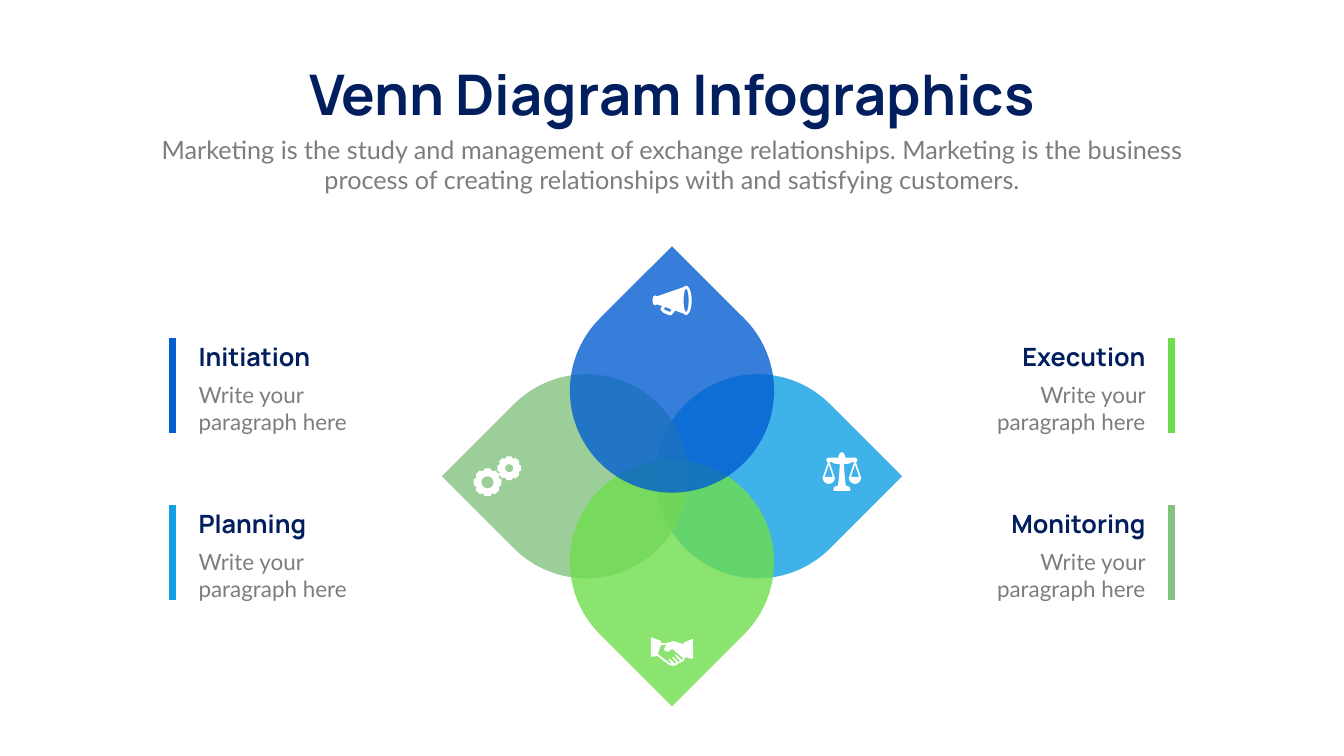
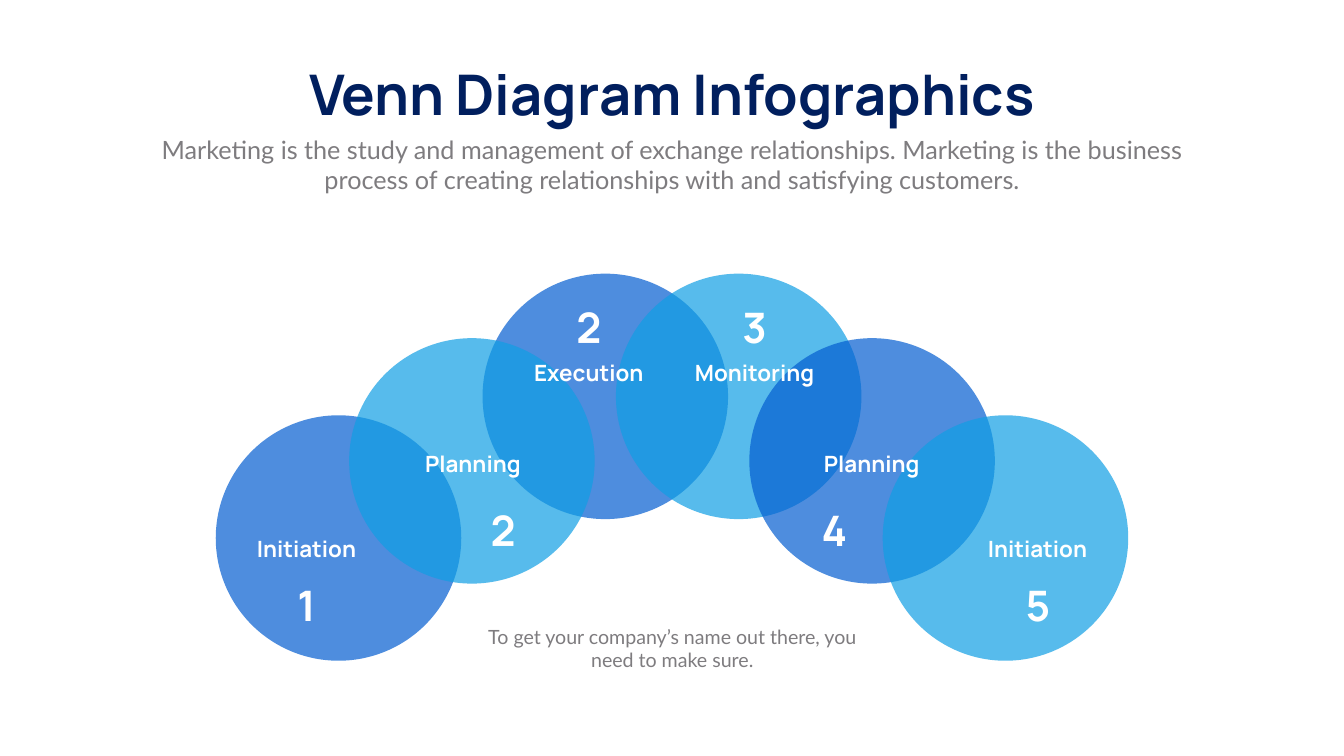
from dataclasses import dataclass
from math import cos, radians, sin

from lxml import etree
from pptx import Presentation
from pptx.dml.color import RGBColor
from pptx.enum.shapes import MSO_CONNECTOR, MSO_SHAPE as SHAPE
from pptx.enum.text import MSO_AUTO_SIZE, PP_ALIGN as ALIGN
from pptx.oxml.ns import qn
from pptx.util import Inches, Pt

# Shared style
BLUE, SKY, GREEN, SAGE = "045ED0", "109FE4", "6EDD4D", "84C280"
NAVY, GRAY, WHITE = "011F5E", "7E7C7F", "FFFFFF"
HEAD, BODY = "Manrope", "Lato"
WIDTH, HEIGHT = 26.66, 15
MID_X = WIDTH / 2

Point = tuple[float, float]
Outline = list[Point]


@dataclass
class Petal:
    dx: int
    dy: int
    rotation: int
    color: str


@dataclass
class Callout:
    title: str
    top: float
    color: str
    on_right: bool = False


@dataclass
class Stage:
    number: str
    label: str
    label_x: float
    number_x: float


@dataclass
class Level:
    circle_top: float
    label_top: float
    number_top: float


def rgb(color: str) -> RGBColor:
    return RGBColor.from_string(color)


def add_text(slide, text: str, left: float, top: float, width: float, height: float, *,
             size: int, font: str = BODY, color: str = GRAY, bold: bool = False,
             align: ALIGN = ALIGN.CENTER) -> None:
    box = slide.shapes.add_textbox(Inches(left), Inches(top), Inches(width), Inches(height))
    tf = box.text_frame
    tf.word_wrap = True
    tf.auto_size = MSO_AUTO_SIZE.SHAPE_TO_FIT_TEXT
    p = tf.paragraphs[0]
    p.alignment = align
    r = p.add_run()
    r.text = text
    r.font.name, r.font.size, r.font.bold = font, Pt(size), bold
    r.font.color.rgb = rgb(color)


def paint(sp, color: str, alpha: int = 100) -> None:
    """Fill a shape, without line or shadow; alpha is a percentage."""
    sp.shadow.inherit = False
    sp.line.fill.background()
    sp.fill.solid()
    sp.fill.fore_color.rgb = rgb(color)
    if alpha < 100:
        clr = sp._element.spPr.find(qn("a:solidFill"))[0]
        etree.SubElement(clr, qn("a:alpha")).set("val", str(alpha * 1000))


def add_round(slide, kind: SHAPE, left: float, top: float, size: float,
              color: str, alpha: int, rotation: int = 0) -> None:
    sp = slide.shapes.add_shape(kind, Inches(left), Inches(top), Inches(size), Inches(size))
    sp.rotation = rotation
    paint(sp, color, alpha)


def add_bar(slide, x: float, top: float, length: float, color: str) -> None:
    line = slide.shapes.add_connector(MSO_CONNECTOR.STRAIGHT, Inches(x), Inches(top),
                                      Inches(x), Inches(top + length))
    line.line.color.rgb = rgb(color)
    line.line.width = Pt(10)
    etree.SubElement(line._element.spPr, qn("a:effectLst"))


def add_icon(slide, outlines: list[Outline]) -> None:
    """Draw closed outlines as one white shape; inner outlines are holes."""
    paths = [[(Inches(x), Inches(y)) for x, y in outline] for outline in outlines]
    builder = slide.shapes.build_freeform(*paths[0][0])
    for i, path in enumerate(paths):
        if i:
            builder.move_to(*path[0])
        builder.add_line_segments(path[1:], close=True)
    paint(builder.convert_to_shape(), WHITE)


def arc(cx: float, cy: float, rx: float, ry: float, start: int = 0, end: int = 360) -> Outline:
    return [(cx + rx * cos(radians(a)), cy + ry * sin(radians(a)))
            for a in range(start, end + 1, 15)] if end > start else \
        arc(cx, cy, rx, ry, end, start)[::-1]


def gear(cx: float, cy: float, radius: float, hole: float) -> list[Outline]:
    tooth = ((-20, 0.87), (-11, 1), (11, 1), (20, 0.87))
    rim = [(cx + radius * k * cos(radians(base + a)), cy + radius * k * sin(radians(base + a)))
           for base in range(0, 360, 45) for a, k in tooth]
    return [rim, arc(cx, cy, hole, hole)]


def mirror(outline: Outline, axis: float) -> Outline:
    return [(2 * axis - x, y) for x, y in reversed(outline)]


# Icons
def megaphone() -> list[Outline]:
    body = [(13.55, 5.7), (13.03, 5.88), (13, 5.86), (12.96, 5.88), (12.94, 5.96),
            (12.96, 6.04), (13, 6.06), (13.03, 6.04), (13.13, 6.07), (13.1, 6.14),
            (13.15, 6.2), (13.26, 6.25), (13.32, 6.25), (13.36, 6.21), (13.39, 6.16),
            (13.55, 6.22)]
    horn = arc(13.61, 5.96, 0.11, 0.29, 105, -105)
    handle = [(13.3, 6.18), (13.29, 6.19), (13.17, 6.14), (13.19, 6.09), (13.32, 6.14)]
    return [body + horn, handle, arc(13.61, 5.96, 0.05, 0.23)]


def scales() -> list[Outline]:
    axis = 16.7
    half = [(16.7, 8.97), (16.66, 8.99), (16.63, 9.06), (16.64, 9.08), (16.44, 9.08),
            (16.4, 9.1), (16.39, 9.13), (16.42, 9.18), (16.32, 9.47),
            *arc(16.44, 9.48, 0.12, 0.12, 180, 0),
            (16.46, 9.18), (16.48, 9.16), (16.56, 9.2), (16.66, 9.21), (16.64, 9.5),
            (16.62, 9.64), (16.6, 9.64), (16.55, 9.66), (16.53, 9.71), (16.54, 9.74)]
    pan = [(16.36, 9.46), (16.44, 9.22), (16.52, 9.46)]
    return [half + mirror(half, axis), pan, mirror(pan, axis)]


def handshake() -> list[Outline]:
    hands = [(13.75, 12.68), (13.73, 12.68), (13.59, 12.74), (13.55, 12.77), (13.54, 12.78),
             (13.43, 12.74), (13.35, 12.72), (13.26, 12.75), (13.17, 12.76), (13.12, 12.76),
             (13.11, 12.72), (13.07, 12.7), (12.93, 12.65), (12.91, 12.66), (12.91, 13.02),
             (12.93, 13.03), (12.98, 13.03), (13.03, 13.01), (13.11, 13.07), (13.27, 13.19),
             (13.33, 13.21), (13.42, 13.2), (13.45, 13.16), (13.49, 13.16), (13.52, 13.13),
             (13.56, 13.12), (13.58, 13.06), (13.63, 13.04), (13.68, 13.07), (13.74, 13.07),
             (13.75, 13.05)]
    gap = [(13.54, 13.09), (13.52, 13.09), (13.41, 12.99), (13.39, 12.99), (13.39, 13.01),
           (13.49, 13.11), (13.48, 13.13), (13.45, 13.13), (13.36, 13.04), (13.34, 13.04),
           (13.34, 13.06), (13.42, 13.15), (13.4, 13.17), (13.38, 13.16), (13.29, 13.08),
           (13.27, 13.07), (13.27, 13.1), (13.34, 13.17), (13.29, 13.16), (13.13, 13.04),
           (13.05, 12.97), (13.11, 12.8), (13.22, 12.79), (13.17, 12.88), (13.2, 12.92),
           (13.23, 12.93), (13.28, 12.92), (13.3, 12.89), (13.34, 12.88), (13.42, 12.95),
           (13.55, 13.06)]
    return [hands, gap]


def new_slide(prs):
    """Start a slide with the shared heading."""
    slide = prs.slides.add_slide(prs.slide_layouts[6])
    slide.background.fill.solid()
    slide.background.fill.fore_color.rgb = rgb(WHITE)
    add_text(slide, "Venn Diagram Infographics", 3.34, 1.14, 19.98, 1.45,
             size=80, font=HEAD, color=NAVY, bold=True)
    add_text(slide, "Marketing is the study and management of exchange relationships. "
             "Marketing is the business process of creating relationships with and "
             "satisfying customers.", 2.92, 2.61, 20.82, 1.31, size=36)
    return slide


# Slide 1: four petals and four callouts
PETALS = [Petal(1, 0, 45, SKY), Petal(-1, 0, 225, SAGE),
          Petal(0, 1, 135, GREEN), Petal(0, -1, 315, BLUE)]
PETAL_SIZE, PETAL_SHIFT, PETAL_MID_Y = 4.05, 1.7, 9.45
CALLOUTS = [Callout("Initiation", 6.71, BLUE), Callout("Planning", 10.02, SKY),
            Callout("Execution", 6.71, GREEN, True), Callout("Monitoring", 10.02, SAGE, True)]


def add_callout(slide, c: Callout) -> None:
    def place(left: float, width: float) -> float:
        return WIDTH - left - width if c.on_right else left

    align = ALIGN.RIGHT if c.on_right else ALIGN.LEFT
    add_bar(slide, place(3.43, 0), c.top, 1.88, c.color)
    add_text(slide, c.title, place(3.84, 3.71), c.top + 0.02, 3.71, 0.71,
             size=36, font=HEAD, color=NAVY, bold=True, align=align)
    add_text(slide, "Write your paragraph here", place(3.84, 3.66), c.top + 0.81, 3.66, 1.18,
             size=32, align=align)


def build_petals(prs) -> None:
    slide = new_slide(prs)
    for petal in PETALS:
        add_round(slide, SHAPE.TEAR, MID_X + petal.dx * PETAL_SHIFT - PETAL_SIZE / 2,
                  PETAL_MID_Y + petal.dy * PETAL_SHIFT - PETAL_SIZE / 2,
                  PETAL_SIZE, petal.color, 80, petal.rotation)
    gears = gear(9.67, 9.57, 0.28, 0.12) + gear(10.1, 9.29, 0.24, 0.08)
    for icon in (megaphone(), scales(), handshake(), gears):
        add_icon(slide, icon)
    for callout in CALLOUTS:
        add_callout(slide, callout)


# Slide 2: an arch of six circles
LOW, MIDDLE, HIGH = Level(8.24, 10.56, 11.45), Level(6.71, 8.88, 9.96), Level(5.43, 7.07, 5.94)
LEVELS = [LOW, MIDDLE, HIGH, HIGH, MIDDLE, LOW]
STAGES = [Stage("1", "Initiation", 6.08, 6.08), Stage("2", "Planning", 9.38, 9.98),
          Stage("2", "Execution", 11.68, 11.68), Stage("3", "Monitoring", 14.97, 14.97),
          Stage("4", "Planning", 17.29, 16.55), Stage("5", "Initiation", 20.58, 20.59)]
STACKING = [0, 2, 3, 1, 4, 5]
CIRCLE_LEFT, CIRCLE_STEP, CIRCLE_SIZE = 4.28, 2.646, 4.87
LABEL_W, NUMBER_W = 3.71, 1.85


def build_arch(prs) -> None:
    slide = new_slide(prs)
    for i in STACKING:
        add_round(slide, SHAPE.OVAL, CIRCLE_LEFT + i * CIRCLE_STEP, LEVELS[i].circle_top,
                  CIRCLE_SIZE, SKY if i % 2 else BLUE, 70)
    white = dict(font=HEAD, color=WHITE, bold=True)
    for stage, level in zip(STAGES, LEVELS):
        add_text(slide, stage.label, stage.label_x - LABEL_W / 2, level.label_top,
                 LABEL_W, 0.64, size=32, **white)
        add_text(slide, stage.number, stage.number_x - NUMBER_W / 2, level.number_top,
                 NUMBER_W, 1.11, size=60, **white)
    add_text(slide, "To get your company’s name out there, you need to make sure.",
             9.56, 12.34, 7.55, 1.04, size=28)


def main() -> None:
    prs = Presentation()
    prs.slide_width, prs.slide_height = Inches(WIDTH), Inches(HEIGHT)
    build_petals(prs)
    build_arch(prs)
    prs.save("out.pptx")


if __name__ == "__main__":
    main()
